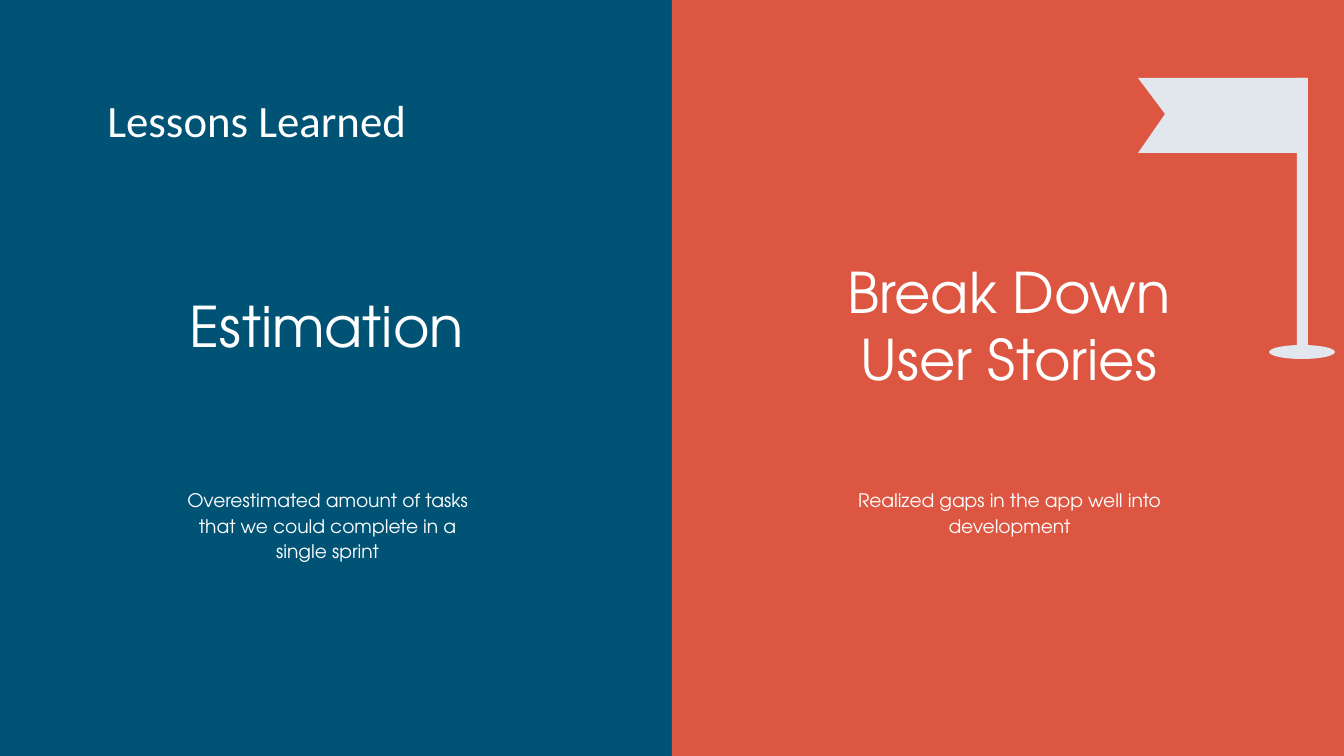
from dataclasses import dataclass

from pptx import Presentation
from pptx.dml.color import RGBColor
from pptx.enum.shapes import MSO_SHAPE as Shape
from pptx.enum.text import MSO_ANCHOR as Anchor, MSO_AUTO_SIZE as AutoSize, PP_ALIGN as Align
from pptx.util import Inches, Pt

EMU_PER_PX = 914400 / 134.4
SLIDE_W, SLIDE_H = 1344, 756
PANEL_W = SLIDE_W // 2
LINE_H = 58
HEADING_W, BODY_W = 372, 337
HEADING_TOP, BODY_TOP = 296, 472

BLUE = RGBColor(0x00, 0x53, 0x75)
RED = RGBColor(0xDC, 0x56, 0x41)
PALE = RGBColor(0xE1, 0xE7, 0xEC)
WHITE = RGBColor(0xFF, 0xFF, 0xFF)

TITLE_FONT = "Calibri"
LESSON_FONT = "TeX Gyre Adventor"


@dataclass(frozen=True)
class Box:
    left: int
    top: int
    width: int
    height: int

    def emu(self) -> list[int]:
        return [px(n) for n in (self.left, self.top, self.width, self.height)]


@dataclass(frozen=True)
class Lesson:
    heading: str
    body: str
    color: RGBColor
    center: int


LESSONS = [
    Lesson("Estimation",
           "Overestimated amount of tasks that we could complete in a single sprint",
           BLUE, 327),
    Lesson("Break Down User Stories",
           "Realized gaps in the app well into development",
           RED, 1009),
]


def px(n: int) -> int:
    return round(n * EMU_PER_PX)


def paint(shape, color: RGBColor) -> None:
    shape.shadow.inherit = False
    shape.fill.solid()
    shape.fill.fore_color.rgb = color
    shape.line.fill.background()


def add_solid(slide, kind: Shape, box: Box, color: RGBColor):
    solid = slide.shapes.add_shape(kind, *box.emu())
    paint(solid, color)
    return solid


def write(shape, text: str, font: str, size: int, align: Align,
          anchor: Anchor, spacing: float = 1.0) -> None:
    frame = shape.text_frame
    frame.word_wrap = True
    frame.auto_size = AutoSize.NONE
    frame.vertical_anchor = anchor
    frame.margin_left = frame.margin_right = Inches(0.1)
    frame.margin_top = frame.margin_bottom = Inches(0.1)
    paragraph = frame.paragraphs[0]
    paragraph.alignment = align
    paragraph.line_spacing = spacing
    run = paragraph.add_run()
    run.text = text
    run.font.name = font
    run.font.size = Pt(size)
    run.font.color.rgb = WHITE


def add_lesson(slide, lesson: Lesson) -> None:
    heading_box = Box(lesson.center - HEADING_W // 2, HEADING_TOP, HEADING_W, LINE_H)
    heading = slide.shapes.add_textbox(*heading_box.emu())
    write(heading, lesson.heading, LESSON_FONT, 30, Align.CENTER, Anchor.MIDDLE)
    body_box = Box(lesson.center - BODY_W // 2, BODY_TOP, BODY_W, LINE_H)
    body = slide.shapes.add_textbox(*body_box.emu())
    write(body, lesson.body, LESSON_FONT, 10, Align.CENTER, Anchor.TOP, 1.15)


def add_flag(slide) -> None:
    add_solid(slide, Shape.RECTANGLE, Box(1297, 78, 11, 271), PALE)
    outline = slide.shapes.build_freeform(1306, 78, scale=EMU_PER_PX)
    outline.add_line_segments([(1302, 153), (1138, 153), (1165, 114), (1138, 78)])
    paint(outline.convert_to_shape(), PALE)
    add_solid(slide, Shape.OVAL, Box(1269, 345, 66, 14), PALE)


def main() -> None:
    deck = Presentation()
    deck.slide_width, deck.slide_height = px(SLIDE_W), px(SLIDE_H)
    slide = deck.slides.add_slide(deck.slide_layouts[5])
    title = slide.shapes.title

    for index, lesson in enumerate(LESSONS):
        panel = add_solid(slide, Shape.RECTANGLE,
                          Box(index * PANEL_W, 0, PANEL_W, SLIDE_H), lesson.color)
        title._element.addprevious(panel._element)

    title.left, title.top, title.width, title.height = Box(94, 91, 1185, LINE_H).emu()
    write(title, "Lessons Learned", TITLE_FONT, 24, Align.LEFT, Anchor.MIDDLE)
    for lesson in LESSONS:
        add_lesson(slide, lesson)
    add_flag(slide)
    deck.save("out.pptx")


if __name__ == "__main__":
    main()
